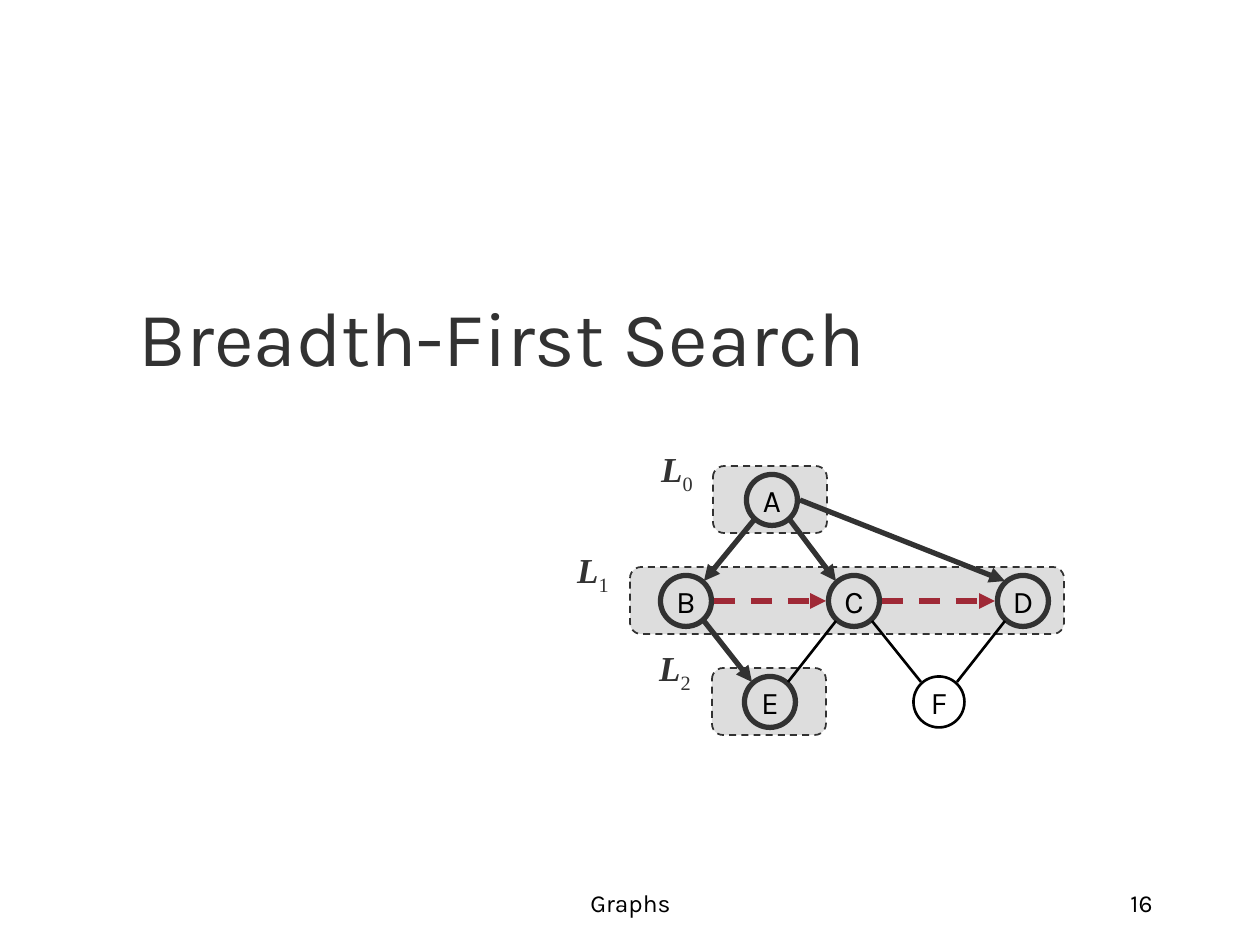
from dataclasses import dataclass

import lxml.etree
import pptx
import pptx.dml.color
import pptx.enum.dml
import pptx.enum.shapes
import pptx.enum.text
import pptx.oxml.ns
import pptx.util

PX_PER_INCH = 126
EMU_PER_INCH = 914400

WHITE = pptx.dml.color.RGBColor(0xFF, 0xFF, 0xFF)
BLACK = pptx.dml.color.RGBColor(0x00, 0x00, 0x00)
CHARCOAL = pptx.dml.color.RGBColor(0x32, 0x32, 0x32)
LIGHT_GREY = pptx.dml.color.RGBColor(0xDD, 0xDD, 0xDD)
RED = pptx.dml.color.RGBColor(0x9F, 0x29, 0x36)

SANS = "Karla"
SERIF = "Times New Roman"
DASH = pptx.enum.dml.MSO_LINE.DASH
ALIGN = pptx.enum.text.PP_ALIGN
ANCHOR = pptx.enum.text.MSO_ANCHOR
SHAPE = pptx.enum.shapes.MSO_SHAPE

NODE_SIZE = 51
LEVEL_HEIGHT = 67
# Where an edge meets a node, as an offset from the node centre
PORTS = {
    "top left": (-18, -20), "top right": (18, -20),
    "bottom left": (-18, 20), "bottom right": (18, 20),
    "left": (-28, 0), "right": (28, 0),
}


@dataclass(frozen=True)
class Node:
    name: str
    x: int
    y: int
    visited: bool = True


@dataclass(frozen=True)
class Edge:
    start: str
    start_port: str
    end: str
    end_port: str
    kind: str


@dataclass(frozen=True)
class Level:
    number: int
    left: int
    top: int
    width: int
    label_left: int
    label_top: int


@dataclass(frozen=True)
class EdgeStyle:
    color: pptx.dml.color.RGBColor
    width: float
    dashed: bool
    arrow: bool


NODES = {node.name: node for node in (
    Node("A", 772, 500), Node("B", 686, 601), Node("C", 854, 601),
    Node("D", 1023, 601), Node("E", 770, 702), Node("F", 939, 702, visited=False),
)}
EDGES = (
    Edge("A", "bottom left", "B", "top right", "discovery"),
    Edge("A", "bottom right", "C", "top left", "discovery"),
    Edge("A", "right", "D", "top left", "discovery"),
    Edge("B", "bottom right", "E", "top left", "discovery"),
    Edge("B", "right", "C", "left", "cross"),
    Edge("C", "right", "D", "left", "cross"),
    Edge("C", "bottom left", "E", "top right", "unexplored"),
    Edge("C", "bottom right", "F", "top left", "unexplored"),
    Edge("D", "bottom left", "F", "top right", "unexplored"),
)
EDGE_STYLES = {
    "discovery": EdgeStyle(CHARCOAL, 3, False, True),
    "cross": EdgeStyle(RED, 3, True, True),
    "unexplored": EdgeStyle(BLACK, 1.5, False, False),
}
LEVELS = (
    Level(0, 713, 466, 114, 645, 441),
    Level(1, 630, 567, 434, 561, 542),
    Level(2, 712, 668, 114, 643, 640),
)


def px(length: float) -> pptx.util.Emu:
    return pptx.util.Emu(round(length * EMU_PER_INCH / PX_PER_INCH))


def add_run(paragraph, text: str, size: float, font: str, color):
    run = paragraph.add_run()
    run.text = text
    run.font.size = pptx.util.Pt(size)
    run.font.name = font
    run.font.color.rgb = color
    return run


def set_line(line, color, width: float, dashed: bool = False) -> None:
    line.color.rgb = color
    line.width = pptx.util.Pt(width)
    if dashed:
        line.dash_style = DASH


def add_text_box(slide, left: int, top: int, width: int, height: int, align, anchor):
    """Add an empty text box and return its first paragraph."""
    box = slide.shapes.add_textbox(px(left), px(top), px(width), px(height))
    box.text_frame.word_wrap = True
    box.text_frame.vertical_anchor = anchor
    paragraph = box.text_frame.paragraphs[0]
    paragraph.alignment = align
    return paragraph


def add_level(slide, level: Level) -> None:
    shape = slide.shapes.add_shape(SHAPE.ROUNDED_RECTANGLE, px(level.left), px(level.top),
                                   px(level.width), px(LEVEL_HEIGHT))
    shape.shadow.inherit = False
    shape.fill.solid()
    shape.fill.fore_color.rgb = LIGHT_GREY
    set_line(shape.line, CHARCOAL, 1, dashed=True)

    paragraph = add_text_box(slide, level.label_left, level.label_top, 64, 54,
                             ALIGN.CENTER, ANCHOR.TOP)
    letter = add_run(paragraph, "L", 20, SERIF, CHARCOAL)
    letter.font.bold = True
    letter.font.italic = True
    subscript = add_run(paragraph, str(level.number), 20, SERIF, CHARCOAL)
    subscript.font._element.set("baseline", "-25000")


def add_node(slide, node: Node) -> None:
    shape = slide.shapes.add_shape(SHAPE.OVAL, px(node.x - NODE_SIZE / 2),
                                   px(node.y - NODE_SIZE / 2), px(NODE_SIZE), px(NODE_SIZE))
    shape.shadow.inherit = False
    shape.fill.background()
    if node.visited:
        set_line(shape.line, CHARCOAL, 3)
    else:
        set_line(shape.line, BLACK, 1.5)
    shape.text_frame.word_wrap = False
    shape.text_frame.vertical_anchor = ANCHOR.MIDDLE
    paragraph = shape.text_frame.paragraphs[0]
    paragraph.alignment = ALIGN.CENTER
    add_run(paragraph, node.name, 18, SANS, BLACK)


def port_position(name: str, port: str) -> tuple:
    across, down = PORTS[port]
    return px(NODES[name].x + across), px(NODES[name].y + down)


def add_edge(slide, edge: Edge) -> None:
    style = EDGE_STYLES[edge.kind]
    connector = slide.shapes.add_connector(
        pptx.enum.shapes.MSO_CONNECTOR.STRAIGHT,
        *port_position(edge.start, edge.start_port), *port_position(edge.end, edge.end_port))
    set_line(connector.line, style.color, style.width, style.dashed)
    if style.arrow:
        line = connector.line._get_or_add_ln()
        lxml.etree.SubElement(line, pptx.oxml.ns.qn("a:tailEnd"), type="triangle")
    lxml.etree.SubElement(connector._element.spPr, pptx.oxml.ns.qn("a:effectLst"))


def main() -> None:
    presentation = pptx.Presentation()
    presentation.slide_width = px(1260)
    presentation.slide_height = px(945)
    slide = presentation.slides.add_slide(presentation.slide_layouts[5])
    slide.background.fill.solid()
    slide.background.fill.fore_color.rgb = WHITE

    # Title
    title = slide.shapes.title
    title.left, title.top, title.width, title.height = px(126), px(231), px(1071), px(157)
    title.text_frame.auto_size = pptx.enum.text.MSO_AUTO_SIZE.NONE
    title.text_frame.vertical_anchor = ANCHOR.BOTTOM
    paragraph = title.text_frame.paragraphs[0]
    paragraph.alignment = ALIGN.LEFT
    add_run(paragraph, "Breadth-First Search", 44, SANS, CHARCOAL)

    # Graph: levels behind, then nodes and edges
    for level in LEVELS:
        add_level(slide, level)
    for node in NODES.values():
        add_node(slide, node)
    for edge in EDGES:
        add_edge(slide, edge)

    # Footer and slide number
    footer = add_text_box(slide, 431, 861, 399, 63, ALIGN.CENTER, ANCHOR.BOTTOM)
    add_run(footer, "Graphs", 14, SANS, BLACK)
    number = add_text_box(slide, 903, 861, 262, 63, ALIGN.RIGHT, ANCHOR.BOTTOM)
    add_run(number, "16", 14, SANS, BLACK)

    presentation.save("out.pptx")


if __name__ == "__main__":
    main()
